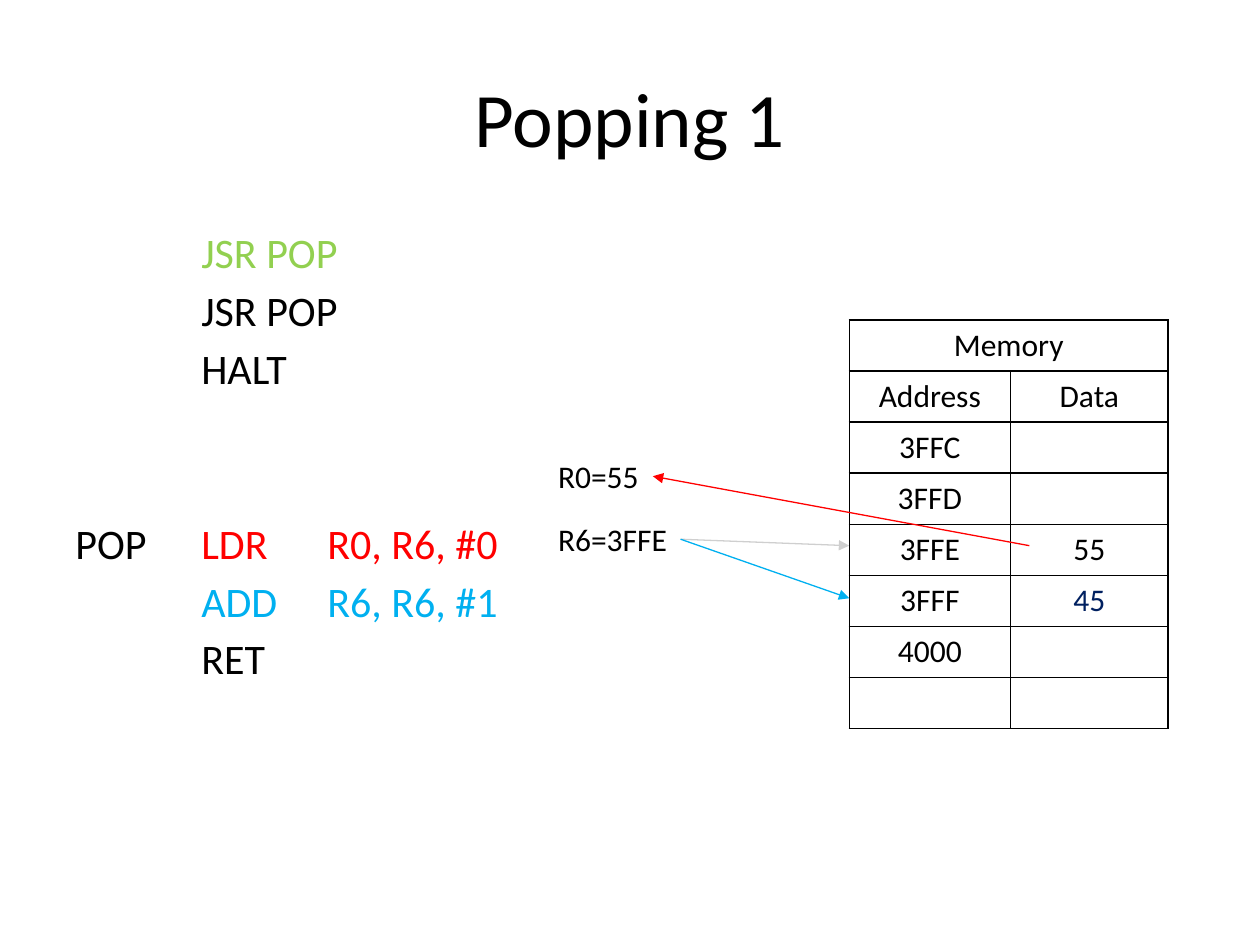
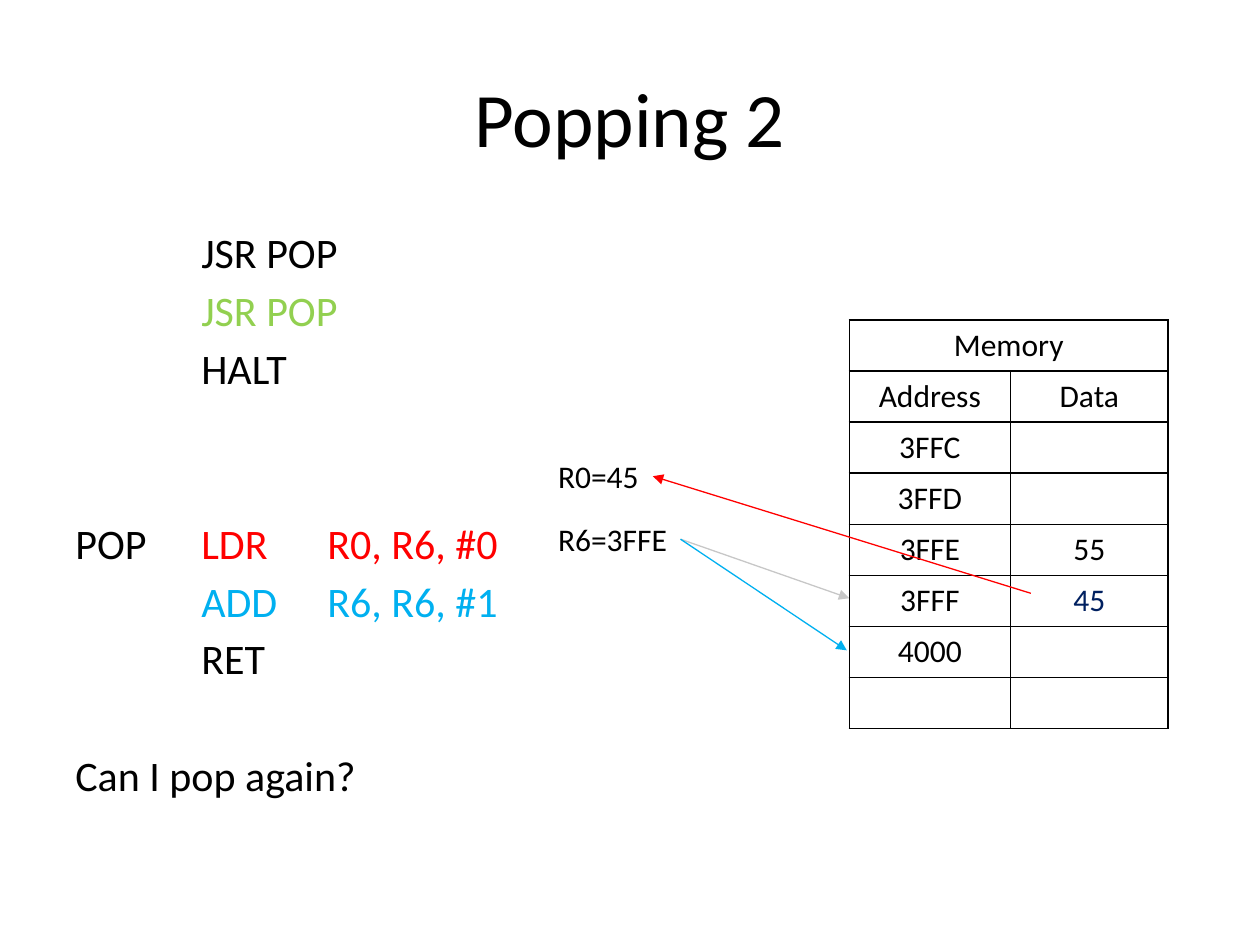
from dataclasses import dataclass
from lxml.etree import SubElement
from pptx import Presentation
from pptx.dml.color import RGBColor
from pptx.enum.shapes import MSO_CONNECTOR as Link
from pptx.enum.text import MSO_ANCHOR as Anchor, MSO_AUTO_SIZE as Fit, PP_ALIGN as Align
from pptx.oxml.ns import qn
from pptx.util import Cm, Pt


@dataclass(frozen=True)
class Theme:
    font: str = "Calibri"
    black: str = "000000"
    green: str = "92D050"
    red: str = "FF0000"
    blue: str = "00B0F0"
    navy: str = "002060"
    title: float = 44
    code: float = 24
    small: float = 18
    border: float = 1
    arrow: float = 0.75
    step: float = 4.2     # space before a line of code, in points
    line: float = 29.3    # height of a line of code, in points


T = Theme()

# Content: calls (the active one is green), routine, memory and arrows
CALLS = ["JSR POP", "JSR POP", "HALT"]
ROUTINE = [
    [("POP\t", T.black), ("LDR\tR0, R6, #0", T.red)],
    [("\tADD\tR6, R6, #1", T.blue)],
    [("\tRET", T.black)],
]
MEMORY = [
    ("Memory", ""), ("Address", "Data"), ("3FFC", ""), ("3FFD", ""),
    ("3FFE", "55"), ("3FFF", "45"), ("4000", ""), ("", ""),
]
TINTS = {"45": T.navy}

# An arrow: register, far point in cm, colour, opacity in percent, loads data
SLIDES = [
    dict(title="Popping 1", active=0, regs={"R6": "3FFE", "R0": "55"}, ask=None,
         arrows=[("R6", (17.12, 11.0), T.black, 18, False),
                 ("R0", (20.75, 11.0), T.red, 100, True),
                 ("R6", (17.12, 12.06), T.blue, 100, False)]),
    dict(title="Popping 2", active=1, regs={"R6": "3FFE", "R0": "45"},
         ask="Can I pop again?",
         arrows=[("R0", (20.78, 11.96), T.red, 100, True),
                 ("R6", (17.12, 12.06), T.black, 22, False),
                 ("R6", (17.07, 13.11), T.blue, 100, False)]),
]

# Places, in cm
HEAD = (1.27, 0.76, 22.86, 3.18)
CODE = (1.27, 4.45, 11.23, 12.57)
TABLE = (17.12, 6.45)
COLS, ROW = (3.25, 3.18), 1.03
REGS = {"R6": (11.0, 10.36, 2.72, 1.02), "R0": (11.0, 9.09, 2.16, 1.02)}
TAB = 2.54


def cms(vals):
    return [Cm(v) for v in vals]


def write(frame, lines, size=T.small, align=Align.LEFT, gaps=None, tabs=()):
    """Fill a frame; each line is a list of (text, colour) runs."""
    for i, runs in enumerate(lines):
        para = frame.paragraphs[0] if i == 0 else frame.add_paragraph()
        para.alignment = align
        if gaps and i:
            para.space_before = Pt(gaps[i])
        if tabs:
            stops = SubElement(para._p.get_or_add_pPr(), qn("a:tabLst"))
            for pos in tabs:
                SubElement(stops, qn("a:tab"), pos=str(Cm(pos)), algn="l")
        for text, tint in runs:
            run = para.add_run()
            run.text = text
            font = run.font
            font.name, font.size = T.font, Pt(size)
            font.color.rgb = RGBColor.from_string(tint)


def add_title(slide, text):
    head = slide.shapes.title
    head.left, head.top, head.width, head.height = cms(HEAD)
    head.text_frame.vertical_anchor = Anchor.MIDDLE
    write(head.text_frame, [[(text, T.black)]], size=T.title, align=Align.CENTER)


def add_code(slide, active, ask):
    lines = [[("\t" + call, T.green if i == active else T.black)]
             for i, call in enumerate(CALLS)] + ROUTINE
    # The routine stands two lines below the calls, the question one below it
    skips = {len(CALLS): 2}
    if ask:
        skips[len(lines)] = 1
        lines = lines + [[(ask, T.black)]]
    gaps = [T.step + skips.get(i, 0) * (T.line + T.step) for i in range(len(lines))]
    frame = slide.shapes.add_textbox(*cms(CODE)).text_frame
    frame.word_wrap = True
    write(frame, lines, size=T.code, gaps=gaps, tabs=(TAB, 2 * TAB))


def add_borders(cell):
    props = cell._tc.get_or_add_tcPr()
    for side in ("lnL", "lnR", "lnT", "lnB"):
        edge = SubElement(props, qn("a:" + side), w=str(Pt(T.border)))
        fill = SubElement(edge, qn("a:solidFill"))
        SubElement(fill, qn("a:srgbClr"), val=T.black)


def add_memory(slide):
    size = (sum(COLS), ROW * len(MEMORY))
    grid = slide.shapes.add_table(len(MEMORY), len(COLS), *cms(TABLE + size)).table
    grid.first_row = grid.horz_banding = False
    for col, width in zip(grid.columns, COLS):
        col.width = Cm(width)
    for r, vals in enumerate(MEMORY):
        grid.rows[r].height = Cm(ROW)
        for c, text in enumerate(vals):
            cell = grid.cell(r, c)
            add_borders(cell)
            cell.fill.background()
            if text:
                write(cell.text_frame, [[(text, TINTS.get(text, T.black))]],
                      align=Align.CENTER)
    grid.cell(0, 0).merge(grid.cell(0, 1))


def add_reg(slide, name, val):
    box = slide.shapes.add_textbox(*cms(REGS[name]))
    box.text_frame.word_wrap = False
    box.text_frame.auto_size = Fit.SHAPE_TO_FIT_TEXT
    write(box.text_frame, [[(f"{name}={val}", T.black)]])
    return box


def add_arrow(slide, box, far, tint, alpha, loads):
    x, y = cms(far)
    link = slide.shapes.add_connector(Link.STRAIGHT, x, y, x, y)
    # A load runs from memory to the register, a pointer the other way
    (link.end_connect if loads else link.begin_connect)(box, 3)
    link.line.width = Pt(T.arrow)
    link.line.color.rgb = RGBColor.from_string(tint)
    props = link._element.spPr
    if alpha < 100:
        SubElement(props.find(".//" + qn("a:srgbClr")), qn("a:alpha"),
                   val=str(alpha * 1000))
    SubElement(props.find(qn("a:ln")), qn("a:tailEnd"), type="triangle")
    SubElement(props, qn("a:effectLst"))


def main():
    deck = Presentation()
    deck.slide_width, deck.slide_height = cms((25.4, 19.05))
    for item in SLIDES:
        slide = deck.slides.add_slide(deck.slide_layouts[5])
        add_title(slide, item["title"])
        add_code(slide, item["active"], item["ask"])
        add_memory(slide)
        boxes = {name: add_reg(slide, name, val) for name, val in item["regs"].items()}
        for name, *rest in item["arrows"]:
            add_arrow(slide, boxes[name], *rest)
    deck.save("out.pptx")


if __name__ == "__main__":
    main()
